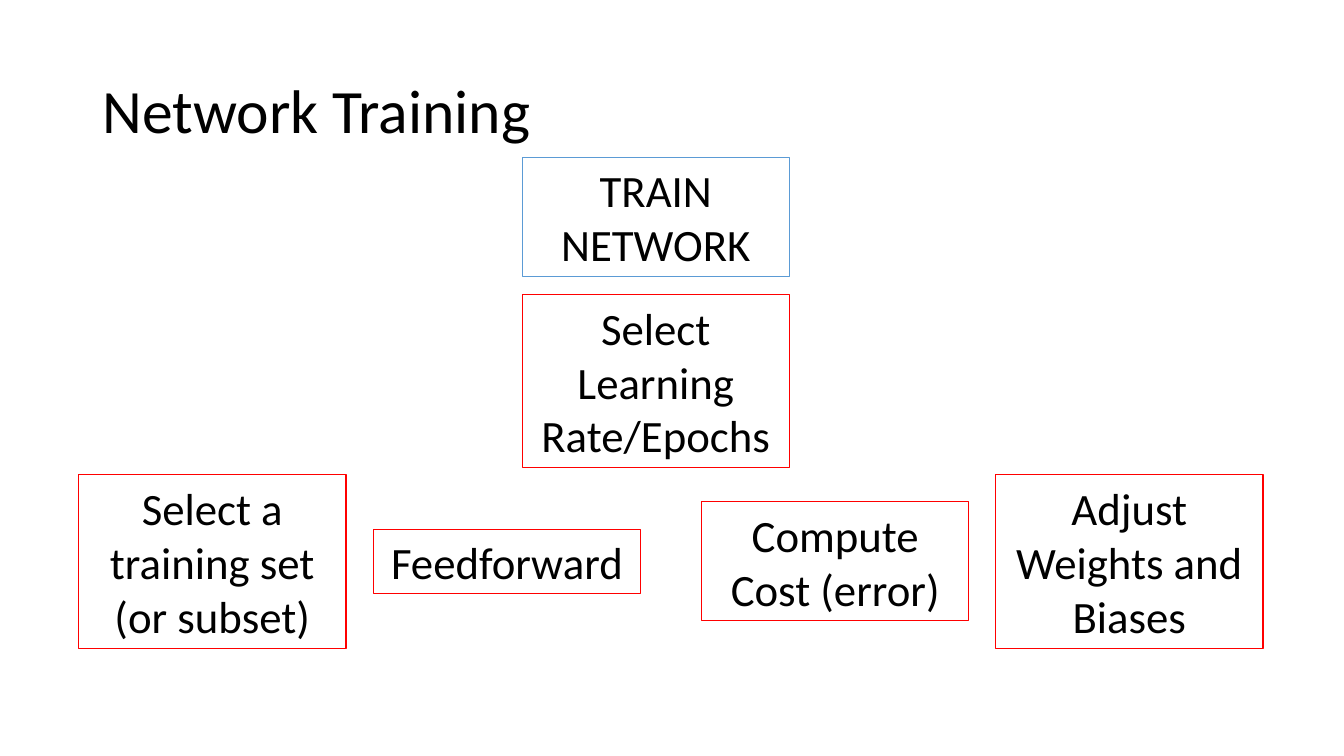
from pptx import Presentation
from pptx.dml.color import RGBColor
from pptx.enum import shapes, text
from pptx.util import Pt

BLACK = RGBColor(0, 0, 0)
BLUE = RGBColor(0x5B, 0x9B, 0xD5)
RED = RGBColor(0xFF, 0, 0)
FONT = "Calibri"
STEP_WIDTH = 191
LINE_HEIGHT = 38.9
STEP_PADDING = 7.2


def format_text(frame, size, alignment):
    frame.word_wrap = True
    frame.vertical_anchor = text.MSO_ANCHOR.MIDDLE
    para = frame.paragraphs[0]
    para.alignment = alignment
    for span in para.runs:
        span.font.name = FONT
        span.font.size = Pt(size)
        span.font.color.rgb = BLACK


def add_title(page, wording, left, top, width, height):
    title = page.shapes.title
    title.left, title.top = Pt(left), Pt(top)
    title.width, title.height = Pt(width), Pt(height)
    frame = title.text_frame
    frame.text = wording
    frame.auto_size = text.MSO_AUTO_SIZE.NONE
    format_text(frame, 44, text.PP_ALIGN.LEFT)
    frame.paragraphs[0].line_spacing = 0.9


def add_step(page, wording, line_count, left, middle, color=RED):
    height = STEP_PADDING + line_count * LINE_HEIGHT
    box = page.shapes.add_shape(
        shapes.MSO_SHAPE.RECTANGLE,
        Pt(left), Pt(middle - height / 2), Pt(STEP_WIDTH), Pt(height),
    )
    box.shadow.inherit = False
    box.fill.background()
    box.line.color.rgb = color
    box.line.width = Pt(0.75)
    frame = box.text_frame
    frame.text = wording
    frame.auto_size = text.MSO_AUTO_SIZE.SHAPE_TO_FIT_TEXT
    format_text(frame, 32, text.PP_ALIGN.CENTER)


def add_setup_column(page, left, top):
    add_step(page, "TRAIN NETWORK", 2, left, top + 42.5, BLUE)
    add_step(page, "Select Learning Rate/Epochs", 3, left, top + 160)


def add_training_row(page, left, middle):
    steps = [
        ("Select a training set (or subset)", 3, 0),
        ("Feedforward", 1, 210.5),
        ("Compute Cost (error)", 2, 445),
        ("Adjust Weights and Biases", 3, 655),
    ]
    for wording, line_count, offset in steps:
        add_step(page, wording, line_count, left + offset, middle)


def main():
    deck = Presentation()
    deck.slide_width, deck.slide_height = Pt(960), Pt(540)
    page = deck.slides.add_slide(deck.slide_layouts[5])
    add_title(page, "Network Training", 66, 29, 828, 104.4)
    add_setup_column(page, 373, 112.3)
    add_training_row(page, 56.2, 401)
    deck.save("out.pptx")


if __name__ == "__main__":
    main()
